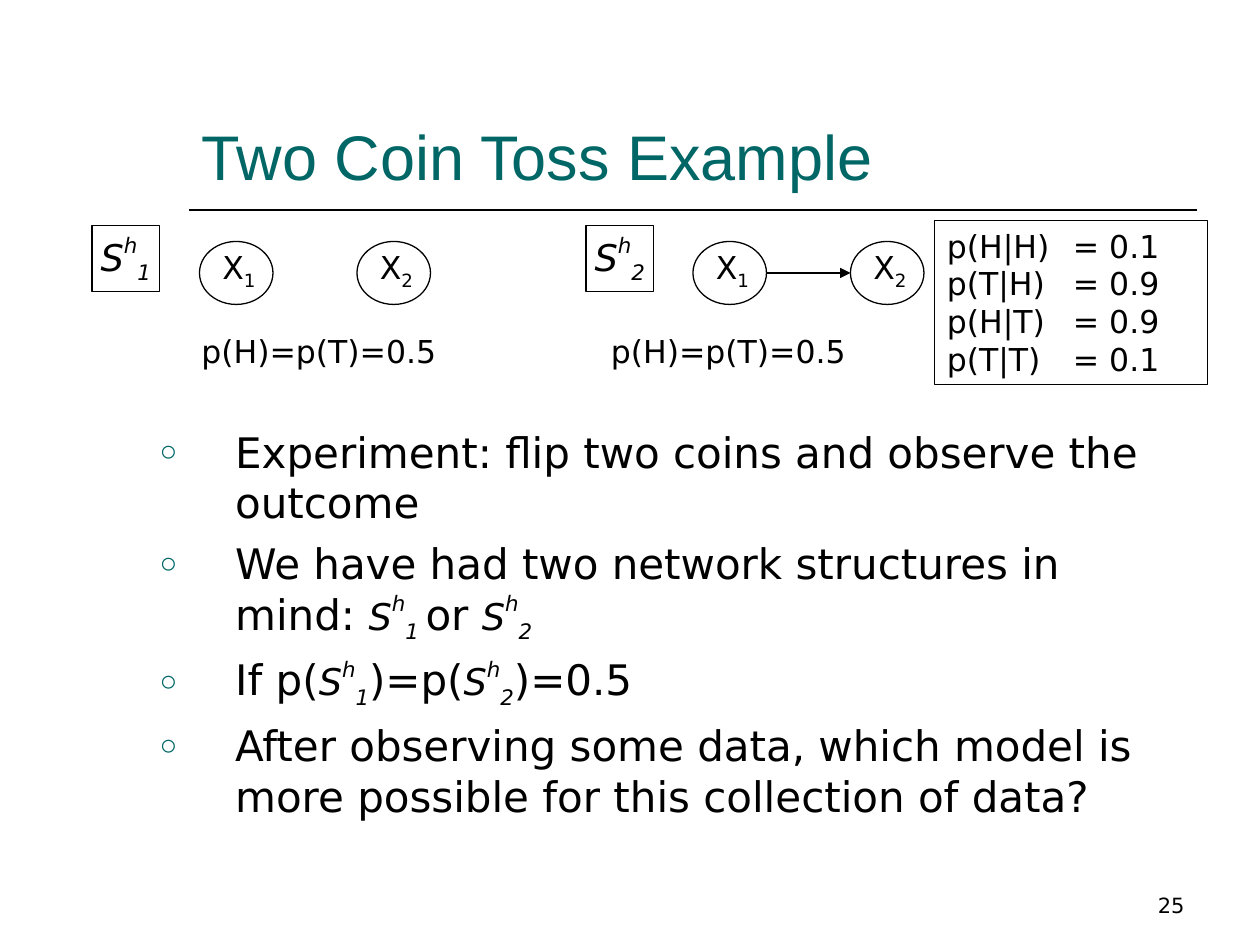
from dataclasses import dataclass

from lxml.etree import SubElement
from pptx import Presentation
from pptx.dml.color import RGBColor as RGB
from pptx.enum.shapes import MSO_CONNECTOR as Connector, MSO_SHAPE as Shape
from pptx.enum.text import MSO_ANCHOR as Anchor, MSO_AUTO_SIZE as AutoSize, PP_ALIGN as Align
from pptx.oxml.ns import qn
from pptx.util import Inches, Pt


@dataclass(frozen=True)
class Theme:
    accent: RGB = RGB(0x00, 0x66, 0x66)
    ink: RGB = RGB(0x00, 0x00, 0x00)
    title_font: str = "Arial"
    text_font: str = "DejaVu Sans"
    title: int = 36
    body: int = 24
    symbol: int = 21
    label: int = 18
    page: int = 12
    thin: float = 0.75
    rule: float = 1


THEME = Theme()
CELL = Inches(1) / 12  # the slide is a grid of 120 columns by 90 rows


def cells(*counts):
    return [round(count * CELL) for count in counts]


def hypothesis(index):
    """Runs for S with a raised h and a lowered index."""
    symbol = dict(size=THEME.symbol, italic=True)
    return [("S", symbol), ("h", {**symbol, "baseline": 50}),
            (index, {**symbol, "baseline": -25})]


class Deck:
    def __init__(self, theme):
        self.theme = theme
        self.prs = Presentation()
        self.prs.slide_width, self.prs.slide_height = cells(120, 90)
        self.slide = self.prs.slides.add_slide(self.prs.slide_layouts[1])

    def _write(self, frame, paragraphs, size, font=None, color=None,
               align=Align.LEFT, anchor=Anchor.TOP, bullets=False):
        """Fill a frame; a paragraph is a string or a list of strings and (text, format) pairs."""
        frame.word_wrap = True
        frame.auto_size = AutoSize.NONE
        frame.vertical_anchor = anchor
        for number, parts in enumerate(paragraphs):
            paragraph = frame.add_paragraph() if number else frame.paragraphs[0]
            paragraph.alignment = align
            if bullets:
                self._bullet(paragraph)
            paragraph.font.name = font or self.theme.text_font
            paragraph.font.size = Pt(size)
            paragraph.font.color.rgb = color or self.theme.ink
            for part in [parts] if isinstance(parts, str) else parts:
                self._run(paragraph, *((part, {}) if isinstance(part, str) else part))

    def _run(self, paragraph, text, style):
        run = paragraph.add_run()
        run.text = text
        if "size" in style:
            run.font.size = Pt(style["size"])
        if "italic" in style:
            run.font.italic = style["italic"]
        if "baseline" in style:
            run.font._element.set("baseline", str(style["baseline"] * 1000))

    def _bullet(self, paragraph):
        paragraph.space_before = Pt(6)
        props = paragraph._p.get_or_add_pPr()
        props.set("marL", str(Inches(0.6)))
        props.set("indent", str(-Inches(0.6)))
        color = SubElement(props, qn("a:buClr"))
        SubElement(color, qn("a:srgbClr"), val=str(self.theme.accent))
        SubElement(props, qn("a:buSzPct"), val="70000")
        SubElement(props, qn("a:buChar"), char="○")

    def _place(self, shape, box):
        shape.left, shape.top, shape.width, shape.height = cells(*box)

    def title(self, text, box):
        holder = self.slide.shapes.title
        self._place(holder, box)
        self._write(holder.text_frame, [text], self.theme.title, self.theme.title_font,
                    self.theme.accent, anchor=Anchor.BOTTOM)

    def bullets(self, items, box):
        holder = self.slide.placeholders[1]
        self._place(holder, box)
        self._write(holder.text_frame, items, self.theme.body, bullets=True)

    def text(self, paragraphs, box, size=None, **style):
        holder = self.slide.shapes.add_textbox(*cells(*box))
        self._write(holder.text_frame, paragraphs, size or self.theme.label, **style)

    def outline(self, kind, box, paragraphs=(), size=None, inset=1.2, **style):
        shape = self.slide.shapes.add_shape(kind, *cells(*box))
        shape.shadow.inherit = False
        shape.fill.background()
        shape.line.color.rgb = self.theme.ink
        shape.line.width = Pt(self.theme.thin)
        frame = shape.text_frame
        frame.margin_left, frame.margin_right = cells(inset, inset)
        self._write(frame, paragraphs, size or self.theme.label, **style)

    def line(self, start, end, width, arrow=False):
        connector = self.slide.shapes.add_connector(Connector.STRAIGHT, *cells(*start, *end))
        connector.line.color.rgb = self.theme.ink
        connector.line.width = Pt(width)
        if arrow:
            SubElement(connector.line._get_or_add_ln(), qn("a:tailEnd"), type="triangle")
        SubElement(connector._element.spPr, qn("a:effectLst"))

    def coin(self, index, left):
        self.outline(Shape.OVAL, (left, 23, 7, 6))
        self.text([["X", (index, {"baseline": -25})]], (left + 1, 23, 6, 5.25))

    def network(self, index, tag_left, coins_left, prior_left, linked):
        """One tagged structure of two coins, with its prior below."""
        gap = 15
        for number, name in enumerate("12"):
            self.coin(name, coins_left + number * gap)
        if linked:
            self.line((coins_left + 7, 26), (coins_left + gap, 26), self.theme.thin, arrow=True)
        self.text(["p(H)=p(T)=0.5"], (prior_left, 31, 26, 4.8))
        self.outline(Shape.RECTANGLE, (tag_left, 21.5, 6.45, 6.25), [hypothesis(index)],
                     self.theme.symbol, inset=0.4, align=Align.CENTER)


def main():
    deck = Deck(THEME)
    deck.line((18, 20), (114, 20), THEME.rule)
    deck.title("Two Coin Toss Example", (18, 4, 96, 15))
    deck.bullets([
        "Experiment: flip two coins and observe the outcome",
        ["We have had two network structures in mind: ",
         *hypothesis("1 "), "or ", *hypothesis("2")],
        ["If p(", *hypothesis("1"), ")=p(", *hypothesis("2"), ")=0.5"],
        "After observing some data, which model is more possible for this collection of data?",
    ], (14, 40, 99, 40))

    deck.network("1", tag_left=8.75, coins_left=19, prior_left=18, linked=False)
    deck.network("2", tag_left=55.8, coins_left=66, prior_left=57, linked=True)

    conditionals = {"H|H": 0.1, "T|H": 0.9, "H|T": 0.9, "T|T": 0.1}
    deck.outline(Shape.RECTANGLE, (89, 21, 26, 15.6),
                 [f"p({event})\t= {chance}" for event, chance in conditionals.items()])

    deck.text(["25"], (86, 82, 28, 6), THEME.page, align=Align.RIGHT, anchor=Anchor.BOTTOM)
    deck.prs.save("out.pptx")


if __name__ == "__main__":
    main()
